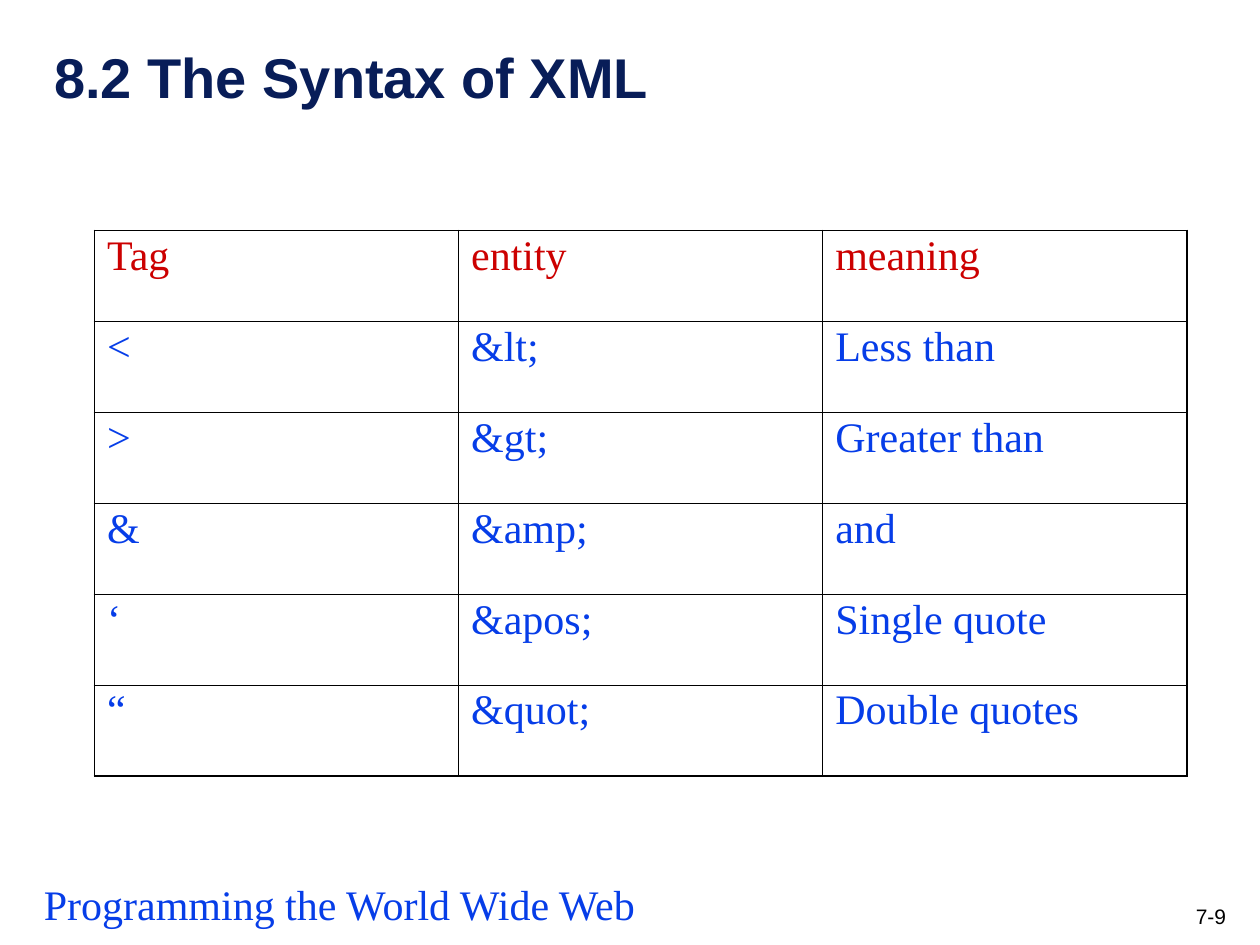
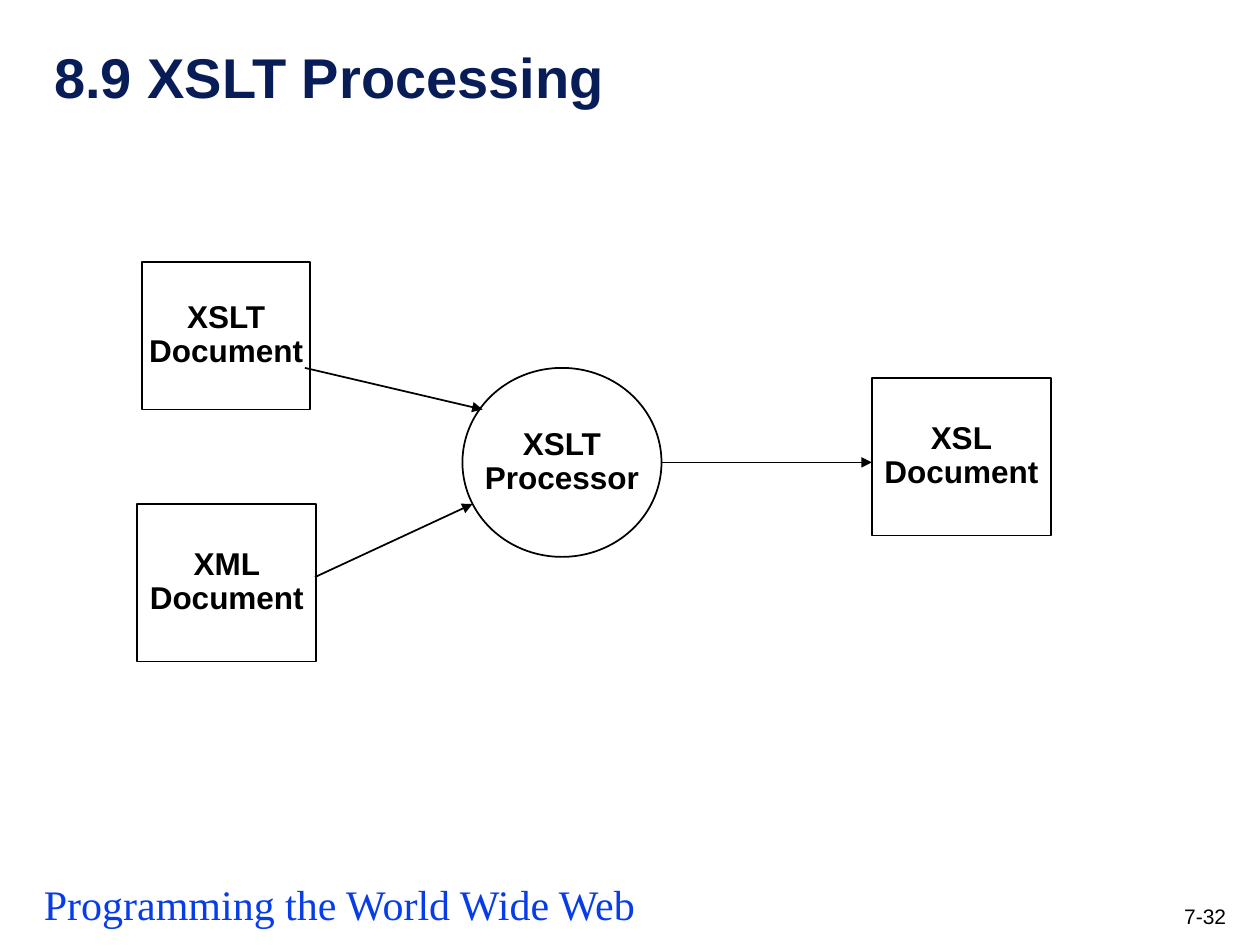
from lxml import etree
from pptx import Presentation
from pptx.dml.color import RGBColor
from pptx.enum.shapes import MSO_CONNECTOR, MSO_SHAPE
from pptx.enum.text import MSO_ANCHOR, MSO_AUTO_SIZE, PP_ALIGN
from pptx.oxml.ns import qn
from pptx.util import Inches, Pt

RECT, OVAL = MSO_SHAPE.RECTANGLE, MSO_SHAPE.OVAL
STRAIGHT = MSO_CONNECTOR.STRAIGHT
TOP, BOTTOM = MSO_ANCHOR.TOP, MSO_ANCHOR.BOTTOM
LEFT, CENTER, RIGHT = PP_ALIGN.LEFT, PP_ALIGN.CENTER, PP_ALIGN.RIGHT
NO_FIT, GROW = MSO_AUTO_SIZE.NONE, MSO_AUTO_SIZE.SHAPE_TO_FIT_TEXT

COLORS = {"title": "081D58", "text": "063DE8", "header": "CC0000",
          "line": "000000", "back": "FFFFFF"}
SANS, SERIF = "Arial", "Times New Roman"

# Shared text styles: font settings, colour and paragraph settings
STYLES = {
    "title": ({"name": SANS, "size": Pt(32), "bold": True}, "title",
              {"alignment": LEFT}),
    "footer": ({"name": SERIF, "size": Pt(24)}, "text",
               {"space_before": Pt(15)}),
    "number": ({"name": SANS, "size": Pt(12)}, "line", {"alignment": RIGHT}),
    "label": ({"name": SANS, "size": Pt(18), "bold": True}, "line",
              {"alignment": CENTER, "line_spacing": 0.9}),
    "head": ({"name": SERIF, "size": Pt(24)}, "header",
             {"line_spacing": 0.9, "space_before": Pt(9)}),
    "body": ({"name": SERIF, "size": Pt(24)}, "text",
             {"line_spacing": 0.9, "space_before": Pt(9)}),
}

TITLE_BOX = (0.33, 0.33, 9.42, 0.59)
FOOTER_BOX = (0.25, 7, 6.08, 0.42)
NUMBER_BOX = (7.75, 6.92, 2.08, 0.5)
THIN, THICK = 0.45, 1.08


def rgb(name):
    return RGBColor.from_string(COLORS[name])


def assign(obj, values):
    for name, value in values.items():
        setattr(obj, name, value)


def write(tf, lines, style):
    font, color, para = STYLES[style]
    for i, line in enumerate(lines):
        p = tf.add_paragraph() if i else tf.paragraphs[0]
        assign(p, para)
        r = p.add_run()
        r.text = line
        assign(r.font, font)
        r.font.color.rgb = rgb(color)


def add_text(shapes, box, lines, style, anchor=BOTTOM, wrap=True, fit=NO_FIT):
    sp = shapes.add_textbox(*map(Inches, box))
    assign(sp.text_frame, {"word_wrap": wrap, "auto_size": fit,
                           "vertical_anchor": anchor})
    write(sp.text_frame, lines, style)


def add_slide(prs, title, number):
    """Slide with the shared title, footer and page number."""
    s = prs.slides.add_slide(prs.slide_layouts[5])
    s.background.fill.solid()
    s.background.fill.fore_color.rgb = rgb("back")
    add_text(s.shapes, NUMBER_BOX, [number], "number")
    add_text(s.shapes, FOOTER_BOX, ["Programming the World Wide Web"], "footer")
    sp = s.shapes.title
    assign(sp, dict(zip(("left", "top", "width", "height"),
                        map(Inches, TITLE_BOX))))
    assign(sp.text_frame, {"word_wrap": True, "auto_size": NO_FIT,
                           "vertical_anchor": BOTTOM})
    write(sp.text_frame, [title], "title")
    return s


def set_borders(cell, widths):
    tc_pr = cell._tc.get_or_add_tcPr()
    for side, width in widths.items():
        ln = etree.SubElement(tc_pr, qn(f"a:ln{side}"), w=str(int(Pt(width))))
        fill = etree.SubElement(ln, qn("a:solidFill"))
        etree.SubElement(fill, qn("a:srgbClr"), val=COLORS["line"])


def entity_table(s, box, rows):
    """Equal grid with thin inner rules and a thicker outer frame."""
    n_rows, n_cols = len(rows), len(rows[0])
    table = s.shapes.add_table(n_rows, n_cols, *map(Inches, box)).table
    assign(table, {"first_row": False, "horz_banding": False})
    for i, row in enumerate(rows):
        for j, text in enumerate(row):
            cell = table.cell(i, j)
            edges = {"L": j == 0, "R": j == n_cols - 1,
                     "T": i == 0, "B": i == n_rows - 1}
            set_borders(cell, {side: THICK if outer else THIN
                               for side, outer in edges.items()})
            cell.fill.background()
            cell.vertical_anchor = TOP
            write(cell.text_frame, [text], "body" if i else "head")


def add_node(shapes, kind, box, lines):
    """Outlined shape with a label centred on it."""
    x, y, w, h = box
    sp = shapes.add_shape(kind, *map(Inches, box))
    sp.shadow.inherit = False
    sp.fill.background()
    sp.line.color.rgb = rgb("line")
    sp.line.width = Pt(1)
    label_w, label_h = 1.42, 0.64
    label = (x + (w - label_w) / 2, y + (h - label_h) / 2, label_w, label_h)
    add_text(shapes, label, lines, "label", TOP, False, GROW)


def add_arrow(shapes, start, end):
    cx = shapes.add_connector(STRAIGHT, *map(Inches, start + end))
    cx.line.color.rgb = rgb("line")
    cx.line.width = Pt(1)
    etree.SubElement(cx.line._get_or_add_ln(), qn("a:tailEnd"), type="triangle")
    etree.SubElement(cx._element.spPr, qn("a:effectLst"))


def process_diagram(s, origin, nodes, arrows):
    """Grouped flow chart; nodes and arrows are relative to its origin."""
    left, top = origin
    shapes = s.shapes.add_group_shape().shapes
    for kind, (x, y, w, h), lines in nodes:
        add_node(shapes, kind, (left + x, top + y, w, h), lines)
    for (x1, y1), (x2, y2) in arrows:
        add_arrow(shapes, (left + x1, top + y1), (left + x2, top + y2))


prs = Presentation()
prs.slide_width, prs.slide_height = Inches(10), Inches(7.5)

# Predefined entities
s = add_slide(prs, "8.2 The Syntax of XML", "7-9")
entity_table(s, (0.75, 1.83, 8.67, 4.33), [
    ("Tag", "entity", "meaning"),
    ("<", "&lt;", "Less than"),
    (">", "&gt;", "Greater than"),
    ("&", "&amp;", "and"),
    ("‘", "&apos;", "Single quote"),
    ("“", "&quot;", "Double quotes"),
])

# XSLT processing flow
s = add_slide(prs, "8.9 XSLT Processing", "7-32")
process_diagram(
    s, (1.09, 2.08),
    nodes=[
        (RECT, (0.04, 0, 1.33, 1.17), ["XSLT", "Document"]),
        (RECT, (0, 1.92, 1.42, 1.25), ["XML", "Document"]),
        (OVAL, (2.58, 0.84, 1.58, 1.5), ["XSLT", "Processor"]),
        (RECT, (5.83, 0.92, 1.42, 1.25), ["XSL", "Document"]),
    ],
    arrows=[
        ((1.33, 0.84), (2.74, 1.17)),
        ((1.41, 2.5), (2.66, 1.92)),
        ((4.16, 1.59), (5.83, 1.59)),
    ])

prs.save("out.pptx")
